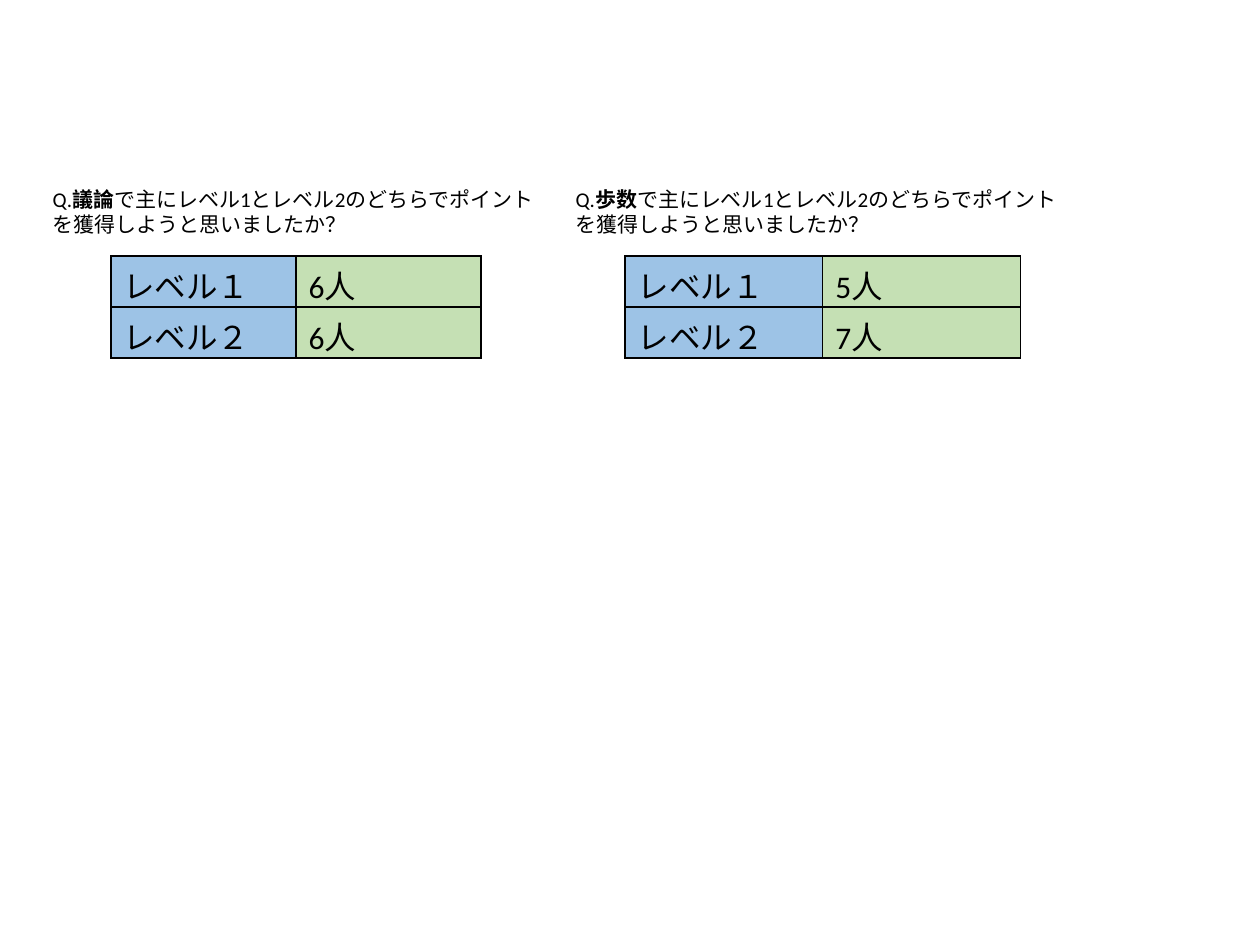
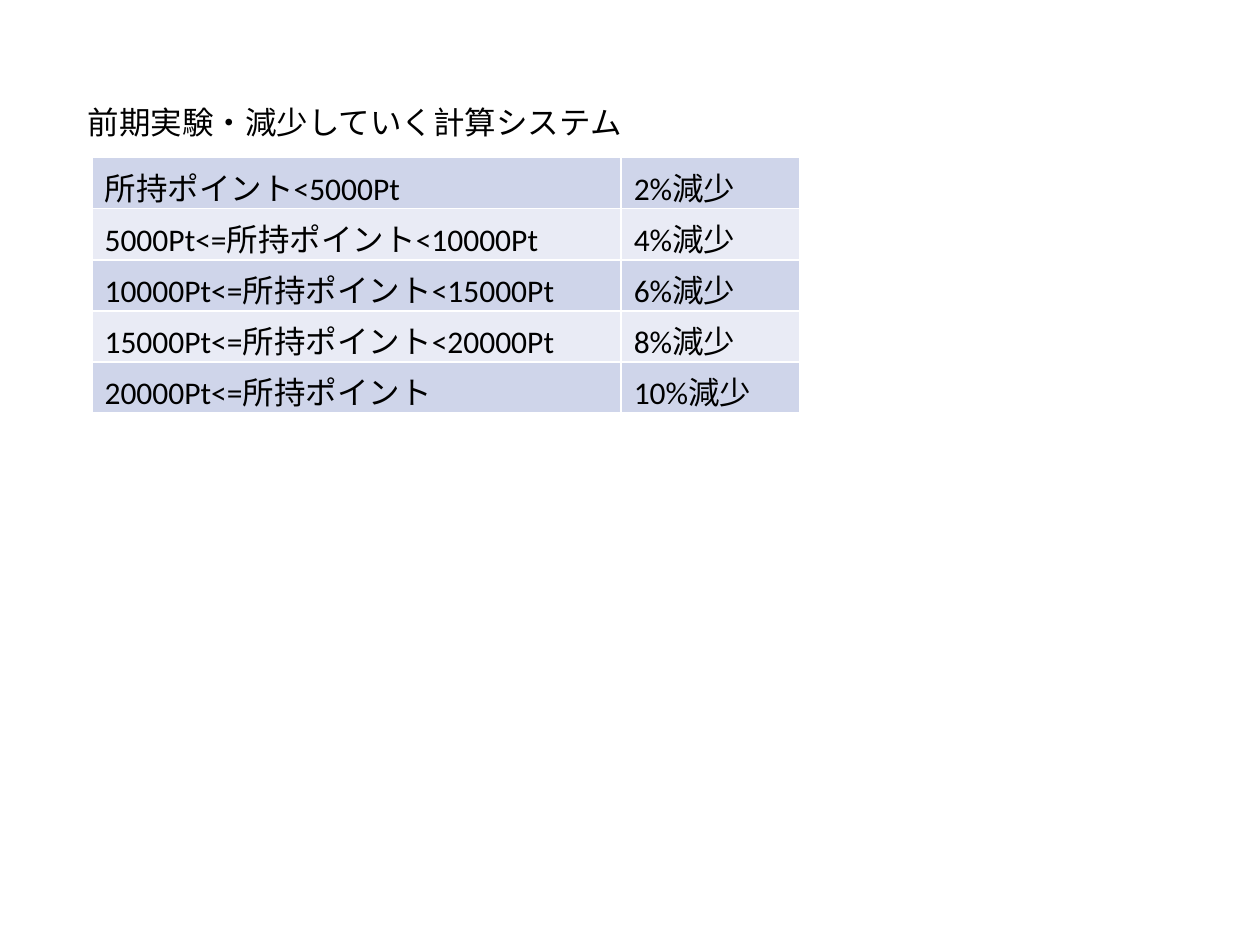
"""Build two slides: level survey results and the point reduction table."""
from lxml.etree import SubElement
from pptx import Presentation
from pptx.dml.color import RGBColor
from pptx.enum.text import MSO_AUTO_SIZE
from pptx.oxml.ns import qn
from pptx.util import Inches, Pt

FONT = "Calibri"
ROW_HEIGHT = 0.406
COLORS = {
    "text": "000000",
    "level": "9DC3E6",
    "count": "C5E0B4",
    "band_dark": "CFD5EA",
    "band_light": "E9EBF5",
    "white": "FFFFFF",
}


def color(name):
    return RGBColor.from_string(COLORS[name])


def add_run(p, text, size, bold=False):
    r = p.add_run()
    r.text = text
    r.font.name = FONT
    r.font.size = Pt(size)
    r.font.bold = bold
    r.font.color.rgb = color("text")


def add_text(s, left, top, width, height, runs, size):
    box = s.shapes.add_textbox(Inches(left), Inches(top), Inches(width), Inches(height))
    tf = box.text_frame
    tf.word_wrap = True
    tf.auto_size = MSO_AUTO_SIZE.SHAPE_TO_FIT_TEXT
    for text, bold in runs:
        add_run(tf.paragraphs[0], text, size, bold)


def set_borders(cell, name):
    tcPr = cell._tc.get_or_add_tcPr()
    for side in ("lnL", "lnR", "lnT", "lnB"):
        ln = SubElement(tcPr, qn(f"a:{side}"), w=str(Pt(1)))
        fill = SubElement(ln, qn("a:solidFill"))
        SubElement(fill, qn("a:srgbClr"), val=COLORS[name])


def add_table(s, left, top, widths, rows, fill_at, border):
    frame = s.shapes.add_table(
        len(rows), len(widths), Inches(left), Inches(top),
        Inches(sum(widths)), Inches(ROW_HEIGHT * len(rows)))
    table = frame.table
    table.first_row = table.horz_banding = False
    for column, width in zip(table.columns, widths):
        column.width = Inches(width)
    for i, row in enumerate(rows):
        table.rows[i].height = Inches(ROW_HEIGHT)
        for j, text in enumerate(row):
            cell = table.cell(i, j)
            set_borders(cell, border)
            cell.fill.solid()
            cell.fill.fore_color.rgb = color(fill_at(i, j))
            add_run(cell.text_frame.paragraphs[0], text, 18)


def add_question(s, left, width, topic, table_left, column_width, counts):
    runs = [
        ("Q.", False),
        (topic, True),
        ("で主にレベル1とレベル2のどちらでポイントを獲得しようと思いましたか？", False),
    ]
    add_text(s, left, 1.43, width, 0.5, runs, 12)
    rows = [(level, f"{count}人") for level, count in zip(("レベル１", "レベル２"), counts)]
    add_table(s, table_left, 2.03, [column_width] * 2, rows,
              lambda i, j: ("level", "count")[j], "text")


def add_survey_slide(prs):
    s = prs.slides.add_slide(prs.slide_layouts[6])
    add_question(s, 0.32, 4.05, "議論", 0.88, 1.47, (6, 6))
    add_question(s, 4.47, 4.12, "歩数", 4.96, 1.57, (5, 7))


def add_reduction_slide(prs):
    s = prs.slides.add_slide(prs.slide_layouts[6])
    add_text(s, 0.6, 0.77, 7.46, 0.4, [("前期実験・減少していく計算システム", False)], 18)
    ranges = [
        "所持ポイント<5000Pt",
        "5000Pt<=所持ポイント<10000Pt",
        "10000Pt<=所持ポイント<15000Pt",
        "15000Pt<=所持ポイント<20000Pt",
        "20000Pt<=所持ポイント",
    ]
    rows = [(text, f"{2 * n}%減少") for n, text in enumerate(ranges, 1)]
    add_table(s, 0.73, 1.25, [4.2, 1.42], rows,
              lambda i, j: ("band_dark", "band_light")[i % 2], "white")


def main():
    prs = Presentation()
    prs.slide_width, prs.slide_height = Inches(10), Inches(7.5)
    add_survey_slide(prs)
    add_reduction_slide(prs)
    prs.save("out.pptx")


if __name__ == "__main__":
    main()
